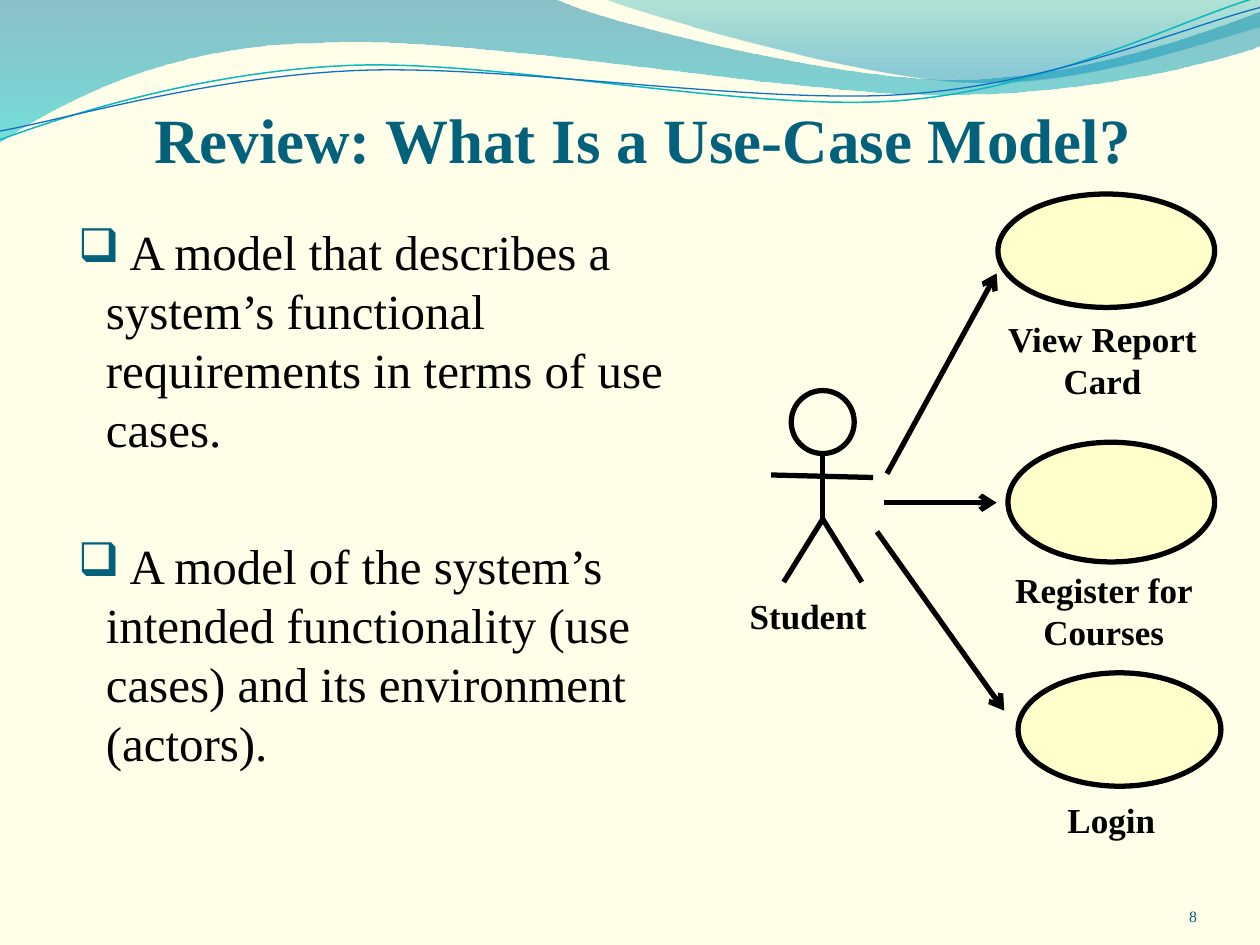
from lxml import etree
from pptx import Presentation
from pptx.dml.color import RGBColor
from pptx.enum.shapes import MSO_CONNECTOR as Connector, MSO_SHAPE as Shape
from pptx.enum.text import MSO_ANCHOR as Anchor, MSO_AUTO_SIZE as AutoSize, PP_ALIGN as Align
from pptx.oxml.ns import qn
from pptx.util import Inches, Pt

FONT = "Times New Roman"
CREAM = RGBColor(0xFF, 0xFF, 0xE9)
YELLOW = RGBColor(0xFF, 0xFF, 0xCC)
BLACK = RGBColor(0, 0, 0)
TEAL = RGBColor(0x04, 0x61, 0x7B)
NUMBER_TEAL = RGBColor(0x04, 0x5C, 0x75)
DEEP_BLUE = RGBColor(0x00, 0x74, 0xA1)
TURQUOISE = RGBColor(0x00, 0xC6, 0xCF)
SEA_GREEN = RGBColor(0x00, 0xA1, 0xA9)
SKY_BLUE = RGBColor(0x00, 0x8B, 0xBF)
LINE_AQUA = RGBColor(0x0A, 0xB8, 0xBF)
LINE_BLUE = RGBColor(0x0F, 0x6F, 0xC6)
STROKE = Pt(3)


def place(part, box):
    part.left, part.top, part.width, part.height = (Inches(v) for v in box)


def set_margins(frame, side, end):
    frame.margin_left = frame.margin_right = Inches(side)
    frame.margin_top = frame.margin_bottom = Inches(end)


def add_run(paragraph, wording, size, color, bold=False):
    run = paragraph.add_run()
    run.text = wording
    run.font.name = FONT
    run.font.size = Pt(size)
    run.font.bold = bold
    run.font.color.rgb = color


def add_label(slide, box, wording, size=20, color=BLACK, bold=True,
              align=Align.CENTER, anchor=Anchor.TOP, wrap=True):
    label = slide.shapes.add_textbox(*(Inches(v) for v in box))
    frame = label.text_frame
    set_margins(frame, 0, 0)
    frame.word_wrap = wrap
    frame.vertical_anchor = anchor
    frame.paragraphs[0].alignment = align
    add_run(frame.paragraphs[0], wording, size, color, bold)


def add_outline(slide, start, segments, close=False):
    builder = slide.shapes.build_freeform(Inches(start[0]), Inches(start[1]))
    builder.add_line_segments(
        [(Inches(x), Inches(y)) for segment in segments for x, y in segment], close=close)
    outline = builder.convert_to_shape()
    outline.shadow.inherit = False
    steps = iter(list(outline._element.iter(qn("a:lnTo"))))
    for segment in segments:
        bend = next(steps)
        if len(segment) == 3:
            bend.tag = qn("a:cubicBezTo")
            for step in (next(steps), next(steps)):
                bend.append(step[0])
                step.getparent().remove(step)
    return outline


def add_stroke(slide, start, segments, color, width):
    stroke = add_outline(slide, start, segments)
    stroke.fill.background()
    stroke.line.color.rgb = color
    stroke.line.width = width


def add_wave(slide, start, segments, stops):
    wave = add_outline(slide, start, segments, close=True)
    wave.line.fill.background()
    wave.fill.gradient()
    wave.fill.gradient_angle = 270
    for stop, (position, color, opacity) in zip(wave.fill.gradient_stops, stops):
        stop.position = position
        stop.color.rgb = color
    for tint, (position, color, opacity) in zip(wave._element.iter(qn("a:srgbClr")), stops):
        etree.SubElement(tint, qn("a:alpha"), val=str(opacity * 1000))


def add_banner(slide):
    add_wave(slide, (0, -0.01), [
        ((4.4, -0.01),),
        ((4.76, 0.17), (6.64, 0.63), (7.58, 0.63)),
        ((8.53, 0.63), (9.58, 0.26), (10, 0.09)),
        ((10.01, 0.36),),
        ((9.83, 0.44), (8.7, 0.76), (7.46, 0.75)),
        ((6.22, 0.75), (3.82, 0.28), (2.57, 0.34)),
        ((1.29, 0.35), (0.46, 0.83), (-0.01, 1.13)),
        ((0, -0.01),),
    ], [(0, DEEP_BLUE, 45), (1, TURQUOISE, 55)])
    add_wave(slide, (4.79, -0.01), [
        ((5.09, 0.11), (6.82, 0.62), (7.69, 0.65)),
        ((8.56, 0.69), (9.61, 0.32), (10, 0.21)),
        ((10, 0),),
        ((4.79, -0.01),),
    ], [(0, SEA_GREEN, 30), (0.8, SKY_BLUE, 45)])
    add_stroke(slide, (0, 1.11), [
        ((0.48, 0.93), (1.58, 0.57), (2.77, 0.52)),
        ((3.95, 0.47), (5.93, 0.89), (7.13, 0.8)),
        ((8.33, 0.71), (9.38, 0.15), (9.98, -0.02)),
    ], LINE_AQUA, Pt(0.85))
    add_stroke(slide, (0, 1.04), [
        ((0.47, 0.96), (1.64, 0.61), (2.83, 0.56)),
        ((4.03, 0.51), (5.97, 0.83), (7.17, 0.75)),
        ((8.36, 0.67), (9.41, 0.21), (10, 0.06)),
    ], LINE_BLUE, Pt(0.75))


def fill_title(title, box, wording):
    place(title, box)
    frame = title.text_frame
    frame.auto_size = AutoSize.NONE
    set_margins(frame, 0.1, 0.05)
    frame.vertical_anchor = Anchor.MIDDLE
    frame.paragraphs[0].alignment = Align.CENTER
    add_run(frame.paragraphs[0], wording, 36, TEAL, bold=True)


def add_bullet(paragraph):
    props = paragraph._p.get_or_add_pPr()
    props.set("marL", str(Inches(0.22)))
    props.set("indent", str(Inches(-0.22)))
    tint = etree.SubElement(props, qn("a:buClr"))
    etree.SubElement(tint, qn("a:srgbClr"), val=str(TEAL))
    etree.SubElement(props, qn("a:buSzPct"), val="95000")
    etree.SubElement(props, qn("a:buFont"), typeface="Wingdings", charset="2")
    etree.SubElement(props, qn("a:buChar"), char="q")


def fill_definitions(body, box, definitions):
    place(body, box)
    frame = body.text_frame
    frame.auto_size = AutoSize.NONE
    set_margins(frame, 0.12, 0.06)
    for index, definition in enumerate(definitions):
        paragraph = frame.add_paragraph() if index else frame.paragraphs[0]
        add_bullet(paragraph)
        paragraph.space_before = Pt(45 if index else 0)
        add_run(paragraph, definition, 28, BLACK)


def add_line(slide, start, end, arrow=False):
    line = slide.shapes.add_connector(
        Connector.STRAIGHT, *(Inches(v) for v in (*start, *end)))
    line.line.color.rgb = BLACK
    line.line.width = STROKE
    if arrow:
        etree.SubElement(line.line._get_or_add_ln(), qn("a:tailEnd"), type="arrow")
    etree.SubElement(line._element.spPr, qn("a:effectLst"))


def add_ellipse(slide, box, fill=None):
    ellipse = slide.shapes.add_shape(Shape.OVAL, *(Inches(v) for v in box))
    ellipse.shadow.inherit = False
    ellipse.line.color.rgb = BLACK
    ellipse.line.width = STROKE
    if fill is None:
        ellipse.fill.background()
    else:
        ellipse.fill.solid()
        ellipse.fill.fore_color.rgb = fill


def add_actor(slide, box, name):
    left, top, width, height = box
    center, hip, foot = left + 0.41, top + 1.02, top + 1.52
    add_ellipse(slide, (center - 0.25, top, 0.5, 0.5))
    add_line(slide, (center, top + 0.5), (center, top + 1.03))
    add_line(slide, (left, top + 0.67), (left + width, top + 0.69))
    add_stroke(slide, (center - 0.31, foot),
               [((center, hip),), ((center + 0.31, foot),)], BLACK, STROKE)
    add_label(slide, (left - 0.17, top + height - 0.34, 0.93, 0.34), name,
              align=Align.LEFT, wrap=False)


def add_use_case(slide, oval_box, label_box, name, arrow_start, arrow_end):
    add_ellipse(slide, oval_box, YELLOW)
    add_label(slide, label_box, name, wrap=" " in name)
    add_line(slide, arrow_start, arrow_end, arrow=True)


def main():
    deck = Presentation()
    deck.slide_width, deck.slide_height = Inches(10), Inches(7.5)
    slide = deck.slides.add_slide(deck.slide_layouts[1])
    slide.background.fill.solid()
    slide.background.fill.fore_color.rgb = CREAM
    add_banner(slide)
    fill_title(slide.shapes.title, (0.4, 0.7, 9.4, 0.8), "Review: What Is a Use-Case Model?")
    fill_definitions(slide.placeholders[1], (0.5, 1.7, 5.58, 5.1), [
        " A model that describes a system’s functional requirements in terms of use cases.",
        " A model of the system’s intended functionality (use cases) and its environment (actors).",
    ])
    add_actor(slide, (6.12, 3.1, 0.81, 1.96), "Student")
    use_cases = [
        ((7.92, 1.54, 1.72, 0.9), (7.91, 2.52, 1.68, 0.67), "View Report Card",
         (7.04, 3.76), (7.91, 2.17)),
        ((8, 3.51, 1.64, 0.95), (7.76, 4.51, 2, 0.67), "Register for Courses",
         (7.02, 3.99), (7.91, 3.99)),
        ((8.08, 5.34, 1.61, 0.9), (8.47, 6.34, 0.7, 0.34), "Login",
         (6.96, 4.22), (7.97, 5.64)),
    ]
    for use_case in use_cases:
        add_use_case(slide, *use_case)
    add_label(slide, (8.67, 6.95, 0.83, 0.4), "8", size=9, color=NUMBER_TEAL,
              bold=False, align=Align.RIGHT, anchor=Anchor.BOTTOM)
    deck.save("out.pptx")


if __name__ == "__main__":
    main()
